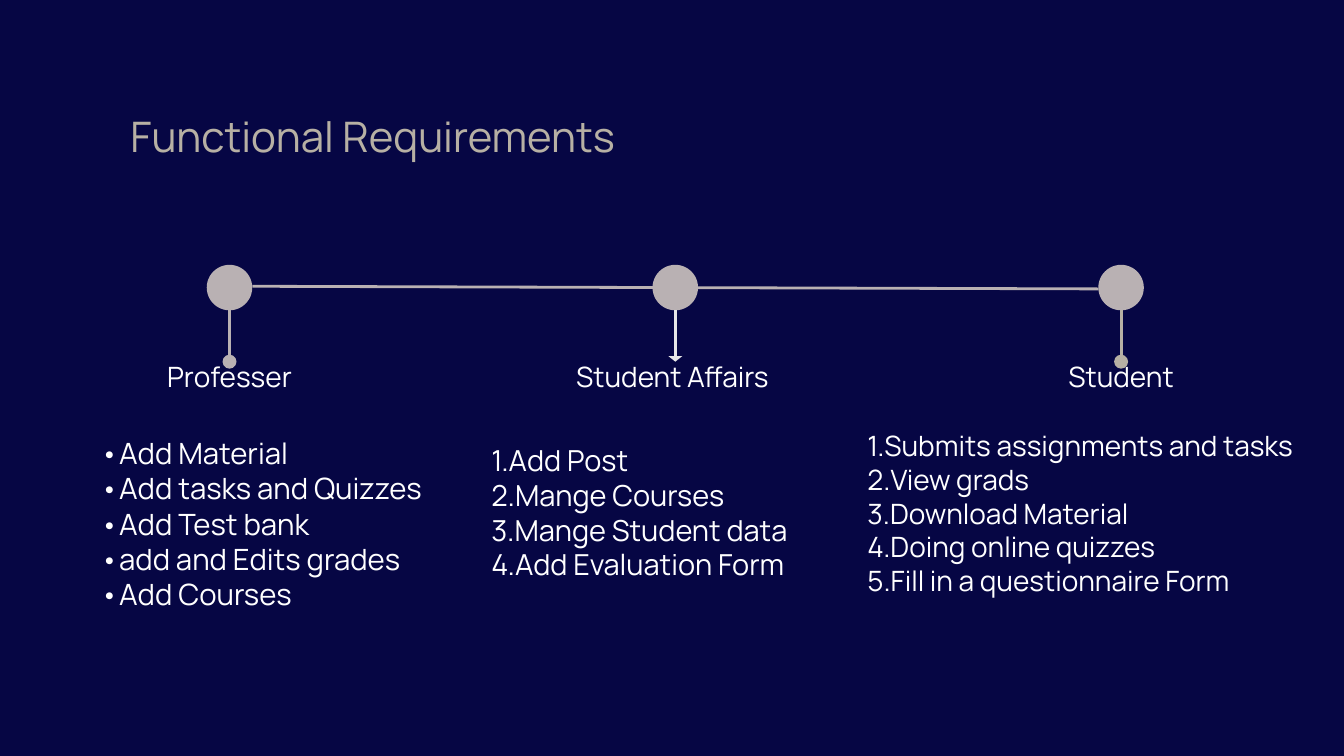
from dataclasses import dataclass

from lxml.etree import SubElement
from pptx import Presentation
from pptx.dml.color import RGBColor
from pptx.enum.shapes import MSO_CONNECTOR, MSO_SHAPE
from pptx.enum.text import PP_ALIGN
from pptx.oxml.ns import qn
from pptx.util import Cm, Pt


@dataclass(frozen=True)
class Theme:
    font: str = "Manrope"
    background: RGBColor = RGBColor(0x06, 0x06, 0x44)
    sand: RGBColor = RGBColor(0xB7, 0xB0, 0xA4)
    mauve: RGBColor = RGBColor(0xB9, 0xB1, 0xB3)
    pale: RGBColor = RGBColor(0xE7, 0xE6, 0xE7)
    white: RGBColor = RGBColor(0xFF, 0xFF, 0xFF)
    title_size: float = 45
    label_size: float = 30
    line_width: float = 3


THEME = Theme()

COLUMN_LEFT, COLUMN_TOP = 3.25, 10.01
COLUMN_WIDTH, COLUMN_PITCH = 10.85, 16.85
DOT = 1.72

# Per role: name, stem colour, stem end (type, length), list box, text size, items
ROLES = [
    ("Professer", THEME.mauve, ("oval", "lg"), (0.53, 6.45, 13.23, 7.85), 31.4,
     ["•Add Material", "•Add tasks and Quizzes", "•Add Test bank ",
      "•add and Edits grades", "•Add Courses"]),
    ("Student Affairs ", THEME.pale, ("triangle", "sm"), (-1.53, 6.73, 13.23, 6.58), 31,
     ["1.Add Post ", "2.Mange Courses ", "3.Mange Student data ",
      "4.Add Evaluation Form "]),
    ("Student", THEME.sand, ("oval", "lg"), (-4.16, 6.2, 17.45, 7.11), 30,
     ["1.Submits assignments and tasks ", "2.View grads ", "3.Download Material",
      "4.Doing online quizzes ", "5.Fill in a questionnaire Form"]),
]


def add_text(slide, box, lines, size, color, align, spacing=1.2):
    """Add one paragraph per line; spacing is a multiple of the text size."""
    tf = slide.shapes.add_textbox(*map(Cm, box)).text_frame
    tf.word_wrap = True
    tf.margin_left = tf.margin_top = tf.margin_right = tf.margin_bottom = 0
    for i, line in enumerate(lines):
        p = tf.add_paragraph() if i else tf.paragraphs[0]
        p.alignment = align
        p.line_spacing = Pt(round(size * spacing, 1))
        r = p.add_run()
        r.text = line
        r.font.name = THEME.font
        r.font.size = Pt(size)
        r.font.color.rgb = color


def add_line(slide, start, end, color, tail=None):
    """Add a straight line; tail is the (type, length) of its end mark."""
    line = slide.shapes.add_connector(MSO_CONNECTOR.STRAIGHT, *map(Cm, start + end))
    line.line.color.rgb = color
    line.line.width = Pt(THEME.line_width)
    if tail:
        kind, length = tail
        SubElement(line.line._get_or_add_ln(), qn("a:tailEnd"),
                   type=kind, w="lg", len=length)
    SubElement(line._element.spPr, qn("a:effectLst"))


def add_title(slide, box):
    add_text(slide, box, ["Functional Requirements"], THEME.title_size,
             THEME.sand, PP_ALIGN.LEFT, 1.1)


def add_rail(slide, left, top, right):
    """Join the outer dots with a line that falls slightly to the right."""
    add_line(slide, (left, top), (right, top + 0.1), THEME.mauve)


def add_role(slide, left, top, width, role):
    """Add a dot, its stem, the role's name and its list of requirements."""
    name, stem_color, tail, (dx, dy, list_width, list_height), size, items = role
    center = left + width / 2
    dot = slide.shapes.add_shape(MSO_SHAPE.OVAL, Cm(center - DOT / 2), Cm(top),
                                 Cm(DOT), Cm(DOT))
    dot.shadow.inherit = False
    dot.fill.solid()
    dot.fill.fore_color.rgb = THEME.mauve
    dot.line.fill.background()

    add_text(slide, (left + dx, top + dy, list_width, list_height), items, size,
             THEME.white, PP_ALIGN.JUSTIFY)
    add_text(slide, (left, top + 3.58, width, 1.35), [name], THEME.label_size,
             THEME.white, PP_ALIGN.CENTER)
    add_line(slide, (center, top + DOT), (center, top + 3.66), stem_color, tail)


def main():
    prs = Presentation()
    prs.slide_width, prs.slide_height = Cm(50.8), Cm(28.575)
    slide = prs.slides.add_slide(prs.slide_layouts[6])
    slide.background.fill.solid()
    slide.background.fill.fore_color.rgb = THEME.background

    first_center = COLUMN_LEFT + COLUMN_WIDTH / 2
    last_center = first_center + (len(ROLES) - 1) * COLUMN_PITCH
    add_rail(slide, first_center + DOT / 2, COLUMN_TOP + 0.81, last_center - DOT / 2)
    add_title(slide, (4.93, 4.34, 19.74, 3.66))
    for i, role in enumerate(ROLES):
        add_role(slide, COLUMN_LEFT + i * COLUMN_PITCH, COLUMN_TOP, COLUMN_WIDTH, role)
    prs.save("out.pptx")


if __name__ == "__main__":
    main()
